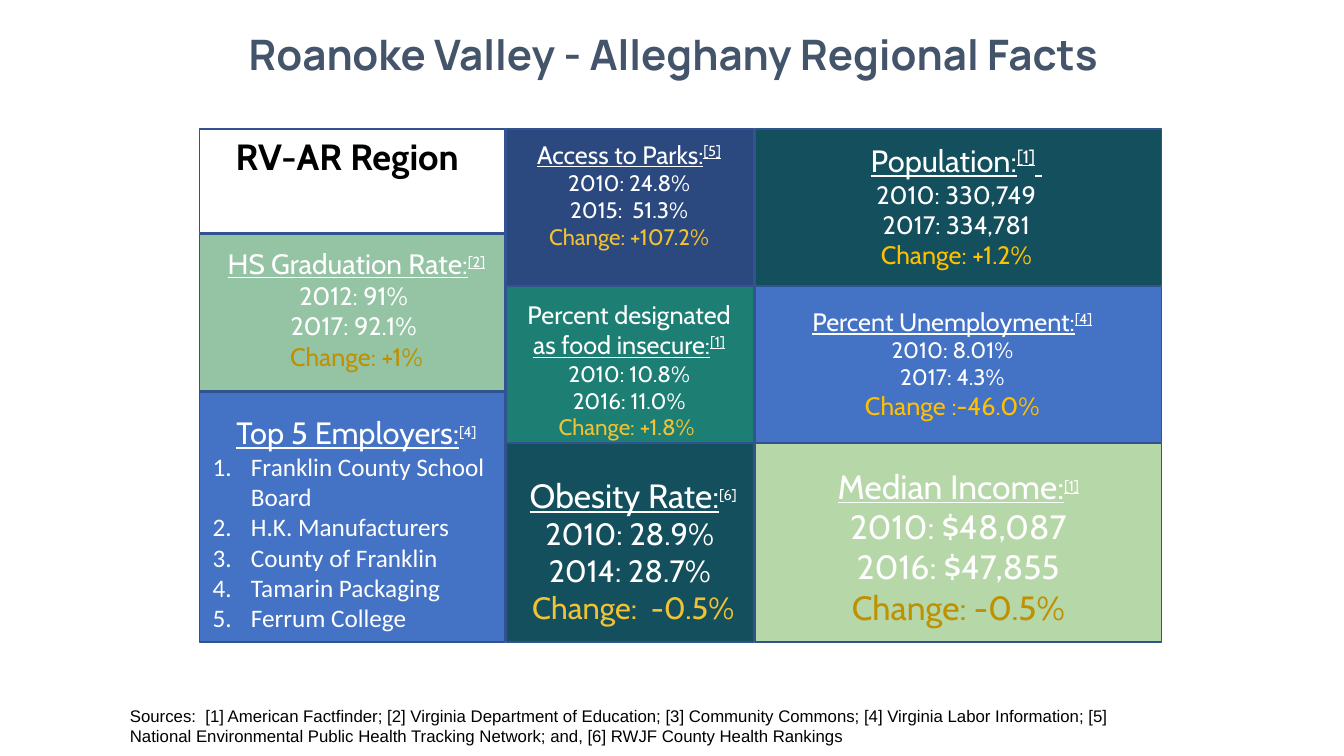
import pptx
import pptx.util
import pptx.dml.color
import pptx.enum.shapes
import pptx.enum.text
import lxml.etree
import itertools

PX = 9144
COLORS = {
    "title": "44546A", "black": "000000", "white": "FFFFFF", "edge": "31538F",
    "navy": "2C497F", "teal": "1D7E74", "blue": "4472C4", "petrol": "134F5C",
    "sage": "94C4A4", "lime": "B6D7A8",
    "amber": "FFC000", "ochre": "BF9000", "gold": "F1C232",
}
ALIGN = pptx.enum.text.PP_ALIGN
ANCHOR = pptx.enum.text.MSO_ANCHOR


def emu(*lengths):
    return [pptx.util.Emu(n * PX) for n in lengths]


def rgb(name):
    return pptx.dml.color.RGBColor.from_string(COLORS[name])


def run(text, size, color="white", name="Cabin", raised=False, **fmt):
    fmt.update(size=pptx.util.Pt(size), name=name)
    return text, color, raised, fmt


def heading(text, size, mark, mark_size=18, mark_underline=True):
    return [run(text, size, underline=True),
            run(mark, mark_size, raised=True, underline=mark_underline)]


def facts(head, first, second, change, size, color, change_size=None):
    return [head, [run(first, size)], [run(second, size)],
            [run(change, change_size or size, color)]]


def number(p):
    pPr = p._p.get_or_add_pPr()
    for key, px in {"marL": 50, "indent": -38}.items():
        pPr.set(key, str(px * PX))
    ns = "{http://schemas.openxmlformats.org/drawingml/2006/main}"
    clr = lxml.etree.SubElement(pPr, ns + "buClr")
    lxml.etree.SubElement(clr, ns + "srgbClr", val=COLORS["white"])
    lxml.etree.SubElement(pPr, ns + "buAutoNum", type="arabicPeriod")


def text_box(s, box, paragraphs, inset=5, align=ALIGN.CENTER, numbered=(),
             anchor=ANCHOR.TOP, spacing=None):
    tf = s.shapes.add_textbox(*emu(*box)).text_frame
    side, top = emu(10, inset)
    frame = {"word_wrap": True, "vertical_anchor": anchor,
             "margin_left": side, "margin_right": side,
             "margin_top": top, "margin_bottom": top}
    for key, value in frame.items():
        setattr(tf, key, value)
    for i, runs in enumerate(paragraphs):
        p = tf.add_paragraph() if i else tf.paragraphs[0]
        p.alignment = ALIGN.LEFT if i in numbered else align
        p.line_spacing = spacing
        if i in numbered:
            number(p)
        for text, color, raised, fmt in runs:
            r = p.add_run()
            r.text = text
            for key, value in fmt.items():
                setattr(r.font, key, value)
            r.font.color.rgb = rgb(color)
            if raised:
                r.font._element.set("baseline", "30000")


def tile(s, box, fill, offset, paragraphs, inset=5, numbered=()):
    x, y, w, h = box
    sp = s.shapes.add_shape(pptx.enum.shapes.MSO_SHAPE.RECTANGLE, *emu(x, y, w, h))
    sp.shadow.inherit = False
    sp.fill.solid()
    sp.fill.fore_color.rgb = rgb(fill)
    sp.line.color.rgb = rgb("edge")
    sp.line.width = pptx.util.Pt(1)
    dx, dy, dw, dh = offset
    text_box(s, (x + dx, y + dy, w + dw, h + dh), paragraphs, inset, numbered=numbered)


def column(s, left, right, edges, tiles):
    for (top, bottom), spec in zip(itertools.pairwise(edges), tiles):
        tile(s, (left, top, right - left - 1, bottom - top - 1), **spec)


def fact_grid(s, box):
    x, y, w, h = box
    employers = ["Franklin County School Board", "H.K. Manufacturers",
                 "County of Franklin", "Tamarin Packaging", "Ferrum College"]
    region = [
        dict(fill="white", offset=(5, 0, -20, 9),
             paragraphs=[[run("RV-AR Region", 26, "black", bold=True)]]),
        dict(fill="sage", offset=(-17, 8, 42, -35), paragraphs=facts(
            heading("HS Graduation Rate:", 20, "[2]"),
            "2012: 91% ", "2017: 92.1% ", "Change: +1%", 18, "ochre")),
        dict(fill="blue", offset=(-9, 17, 26, -74), numbered=range(1, 6), paragraphs=[
            heading("Top 5 Employers:", 22, "[4]", mark_underline=False),
            *([run(name, 18, name="Calibri")] for name in employers)]),
    ]
    health = [
        dict(fill="navy", offset=(4, 0, -10, -38), inset=10, paragraphs=facts(
            heading("Access to Parks:", 18, "[5]"),
            "2010: 24.8%", "2015:  51.3%", "Change: +107.2%", 16, "gold")),
        dict(fill="teal", offset=(4, 3, -10, 0), inset=10, paragraphs=facts(
            [run("Percent designated ", 18), *heading("as food insecure:", 18, "[1]")],
            "2010: 10.8%", "2016: 11.0%", "Change: +1.8% ", 16, "gold")),
        dict(fill="petrol", offset=(2, 21, 2, -20), inset=10, paragraphs=facts(
            heading("Obesity Rate:", 24, "[6]", mark_underline=False),
            "2010: 28.9% ", "2014: 28.7% ", "Change:  -0.5%", 22, "gold")),
    ]
    economy = [
        dict(fill="petrol", offset=(-2, 8, 0, -7), paragraphs=facts(
            [*heading("Population:", 22, "[1]", 22), run(" ", 22, underline=True)],
            "2010: 330,749", "2017: 334,781", "Change: +1.2%", 18, "amber")),
        dict(fill="blue", offset=(1, 15, -14, 3), paragraphs=facts(
            heading("Percent Unemployment:", 18, "[4]"),
            "2010: 8.01%", "2017: 4.3%", "Change :-46.0%", 16, "amber", 18)),
        dict(fill="lime", offset=(60, 17, -120, -29), paragraphs=facts(
            heading("Median Income:", 24, "[1]"),
            "2010: $48,087", "2016: $47,855", "Change: -0.5%", 24, "ochre")),
    ]
    rows = [y, y + 156, y + 312, y + h]
    column(s, x, x + 304, [y, y + 104, y + 261, y + h], region)
    column(s, x + 304, x + 551, rows, health)
    column(s, x + 551, x + w, rows, economy)


def title(s, box):
    text_box(s, box, [[run("Roanoke Valley - Alleghany Regional Facts", 30, "title",
                           "Manrope", bold=True)]],
             10, anchor=ANCHOR.MIDDLE, spacing=0.9)


def sources(s, box):
    text_box(s, box, [[run(
        "Sources:  [1] American Factfinder; [2] Virginia Department of Education; "
        "[3] Community Commons; [4] Virginia Labor Information; [5] National "
        "Environmental Public Health Tracking Network; and, [6] RWJF County Health "
        "Rankings", 12, "black", "Arial")]], 10, ALIGN.LEFT)


def main():
    prs = pptx.Presentation()
    prs.slide_width, prs.slide_height = emu(1333, 750)
    s = prs.slides.add_slide(prs.slide_layouts[6])
    title(s, (49, 0, 1238, 112))
    fact_grid(s, (198, 128, 955, 510))
    sources(s, (119, 690, 993, 65))
    prs.save("out.pptx")


if __name__ == "__main__":
    main()
